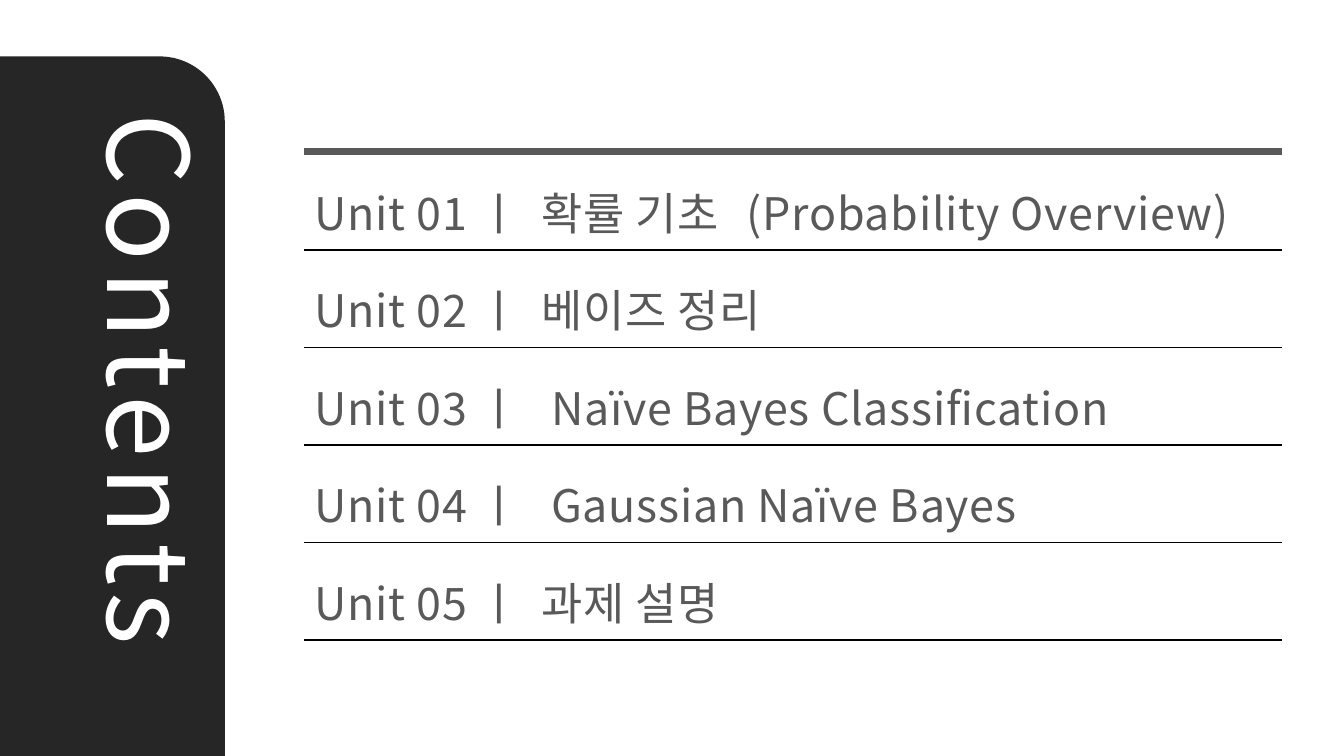
"""Builds the contents slide: a dark side tab and five ruled unit rows."""
from lxml import etree
from pptx import Presentation, util as u
from pptx.dml.color import RGBColor
from pptx.enum import shapes, text
from pptx.oxml.ns import qn

W, H = 13.33, 7.5
FONT = "Noto Sans CJK KR"
GREY, BLACK, WHITE, DARK = "595959", "000000", "FFFFFF", "262626"
TITLE = "Contents"
UNITS = [
    ("Unit 01 ㅣ\t확률 기초\t(Probability Overview)", (2.25, 4.29)),
    ("Unit 02 ㅣ\t베이즈 정리", (2.25,)),
    ("Unit 03 ㅣ\tNaïve Bayes Classification", (2.35,)),
    ("Unit 04 ㅣ\tGaussian Naïve Bayes", (2.35,)),
    ("Unit 05 ㅣ\t과제 설명", (2.25,)),
]
LEFT, RIGHT, TOP = 3.02, 12.72, 1.5
FIRST_RULE, PITCH = 2.48, 0.9675
ROW_W, ROW_H = 9.43, 0.77
TAB_W, TAB_TOP = 2.23, 0.56


def color(value):
    return RGBColor.from_string(value)


def write(sp, content, size, fill, spacing, anchor, tabs=()):
    tf = sp.text_frame
    tf.word_wrap = True
    tf.vertical_anchor = anchor
    p = tf.paragraphs[0]
    p.alignment = text.PP_ALIGN.LEFT
    r = p.add_run()
    r.text = content
    r.font.size = u.Pt(size)
    r.font.name = FONT
    r.font.color.rgb = color(fill)
    rpr = r.font._element
    rpr.set("spc", str(int(spacing * 100)))
    ea = etree.Element(qn("a:ea"), typeface=FONT)
    rpr.find(qn("a:latin")).addnext(ea)
    if tabs:
        stops = etree.SubElement(p._p.get_or_add_pPr(), qn("a:tabLst"))
        for stop in tabs:
            etree.SubElement(stops, qn("a:tab"), pos=str(u.Inches(stop)), algn="l")
    return tf


def rule(group, y, fill, width):
    line = group.shapes.add_connector(
        shapes.MSO_CONNECTOR.STRAIGHT,
        u.Inches(LEFT), u.Inches(y), u.Inches(RIGHT), u.Inches(y))
    line.line.color.rgb = color(fill)
    line.line.width = u.Pt(width)
    etree.SubElement(line._element.spPr, qn("a:effectLst"))


def main():
    prs = Presentation()
    prs.slide_width, prs.slide_height = u.Inches(W), u.Inches(H)
    s = prs.slides.add_slide(prs.slide_layouts[5])

    side = s.shapes.add_shape(
        shapes.MSO_SHAPE.ROUND_1_RECTANGLE,
        0, u.Inches(TAB_TOP), u.Inches(TAB_W), u.Inches(H - TAB_TOP))
    side.adjustments[0] = 0.29
    side.shadow.inherit = False
    side.fill.solid()
    side.fill.fore_color.rgb = color(DARK)
    side.line.fill.background()

    title = s.shapes.title
    title.left, title.top = u.Inches(-1.98), u.Inches(3.79)
    title.width, title.height = u.Inches(6.97), u.Inches(1.45)
    title.rotation = 90
    tf = write(title, TITLE, 80, WHITE, 6, text.MSO_ANCHOR.TOP)
    tf.auto_size = text.MSO_AUTO_SIZE.SHAPE_TO_FIT_TEXT
    side._element.addnext(title._element)

    rows = s.shapes.add_group_shape()
    rule(rows, TOP, GREY, 5)
    for i, (unit, tabs) in enumerate(UNITS):
        y = FIRST_RULE + i * PITCH
        box = rows.shapes.add_textbox(
            u.Inches(LEFT), u.Inches(y - ROW_H + 0.01), u.Inches(ROW_W), u.Inches(ROW_H))
        write(box, unit, 32, GREY, 0.5, text.MSO_ANCHOR.MIDDLE, tabs)
        rule(rows, y, BLACK, 1)

    prs.save("out.pptx")


if __name__ == "__main__":
    main()
